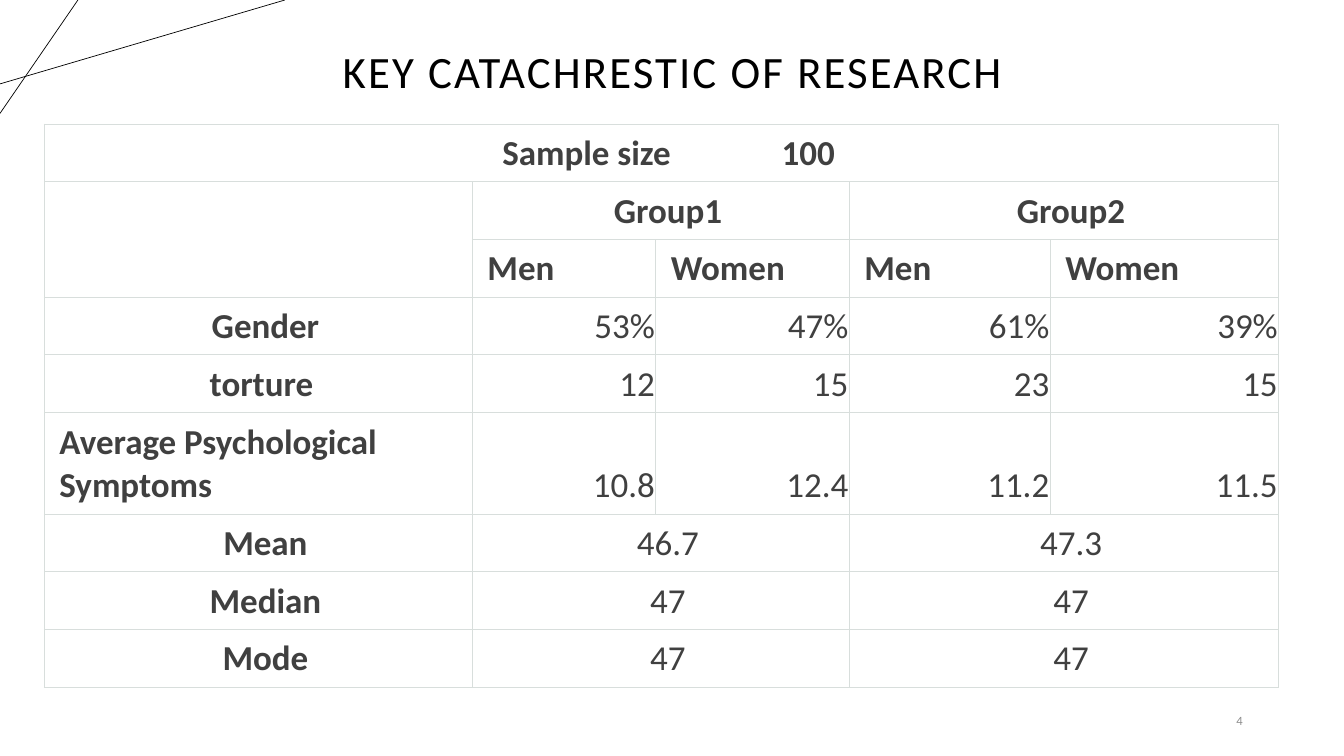
from lxml.etree import SubElement
from pptx import Presentation
from pptx.dml.color import RGBColor
from pptx.enum.shapes import MSO_CONNECTOR
from pptx.enum.text import MSO_ANCHOR, PP_ALIGN
from pptx.oxml.ns import qn
from pptx.util import Inches, Pt

WIDTH, HEIGHT = 13.33, 7.5
LEFT, CENTER, RIGHT = PP_ALIGN.LEFT, PP_ALIGN.CENTER, PP_ALIGN.RIGHT


def color(hex_string):
    return RGBColor.from_string(hex_string)


class SlideBuilder:
    """Holds the style and the slide; lengths are percentages of its size."""

    font = "Calibri"
    ink, body, muted, border = "000000", "404040", "8C8C8C", "D8DEDC"
    table_size = 25

    def __init__(self, slide):
        self.slide = slide

    def x(self, share):
        return Inches(WIDTH * share / 100)

    def y(self, share):
        return Inches(HEIGHT * share / 100)

    def format_paragraph(self, paragraph, size, hex_string, align, bold=False, spacing=0):
        paragraph.alignment = align
        for run in paragraph.runs:
            run.font.name = self.font
            run.font.size = Pt(size)
            run.font.bold = bold
            run.font.color.rgb = color(hex_string)
            if spacing:
                self.space_letters(run, spacing)

    def space_letters(self, run, points):
        run.font._element.set("spc", str(int(points * 100)))

    def line(self, start, end):
        connector = self.slide.shapes.add_connector(
            MSO_CONNECTOR.STRAIGHT, self.x(start[0]), self.y(start[1]), self.x(end[0]), self.y(end[1]))
        connector.line.color.rgb = color(self.ink)
        connector.line.width = Pt(0.5)
        SubElement(connector._element.spPr, qn("a:effectLst"))

    def text(self, content, left, top, width, height, size, hex_string, align, anchor, spacing=0):
        box = self.slide.shapes.add_textbox(self.x(left), self.y(top), self.x(width), self.y(height))
        frame = box.text_frame
        frame.word_wrap = True
        frame.vertical_anchor = anchor
        frame.text = content
        paragraph = frame.paragraphs[0]
        self.format_paragraph(paragraph, size, hex_string, align, spacing=spacing)
        return paragraph

    def outline_cell(self, cell):
        properties = cell._tc.get_or_add_tcPr()
        for side in ("a:lnL", "a:lnR", "a:lnT", "a:lnB"):
            edge = SubElement(properties, qn(side), w=str(Pt(0.75)))
            fill = SubElement(edge, qn("a:solidFill"))
            SubElement(fill, qn("a:srgbClr"), val=self.border)
        cell.fill.background()

    def table(self, left, top, widths, heights, rows, header_rows):
        """None continues the cell on its left."""
        frame = self.slide.shapes.add_table(
            len(heights), len(widths), self.x(left), self.y(top), self.x(sum(widths)), self.y(sum(heights)))
        table = frame.table
        table.first_row = table.horz_banding = False
        for column, width in zip(table.columns, widths):
            column.width = self.x(width)
        for row, height in zip(table.rows, heights):
            row.height = self.y(height)

        for r, values in enumerate(rows):
            for c, value in enumerate(values):
                cell = table.cell(r, c)
                self.outline_cell(cell)
                cell.vertical_anchor = MSO_ANCHOR.BOTTOM
                cell.margin_left, cell.margin_right = Inches(0.15), Inches(0.01)
                cell.margin_top = cell.margin_bottom = Inches(0.07)
                if not value:
                    continue
                end = c
                while end + 1 < len(values) and values[end + 1] is None:
                    end += 1
                if end > c:
                    cell.merge(table.cell(r, end))
                header = r < header_rows
                if end > c or c == 0:
                    align = CENTER
                else:
                    align = LEFT if header else RIGHT
                cell.text_frame.text = value
                self.format_paragraph(cell.text_frame.paragraphs[0], self.table_size, self.body,
                                      align, bold=header or c == 0)
        return table


def main():
    presentation = Presentation()
    presentation.slide_width, presentation.slide_height = Inches(WIDTH), Inches(HEIGHT)
    builder = SlideBuilder(presentation.slides.add_slide(presentation.slide_layouts[6]))

    # Corner lines
    builder.line((0, 11.1), (21.2, 0))
    builder.line((5.8, 0), (0, 15))

    # Title and page number
    title = builder.text("KEY CATACHRESTIC OF RESEARCH", 6.9, 5.2, 86.3, 8.4, 32,
                         builder.ink, CENTER, MSO_ANCHOR.BOTTOM, spacing=1.5)
    title.line_spacing = 0.9
    number = builder.text("4", 85.1, 92.7, 8.1, 5.3, 9, builder.muted, RIGHT, MSO_ANCHOR.MIDDLE)
    number.space_after = Pt(6)

    # Research table
    rows = [
        ["Sample size", None, None, None, None],
        ["", "Group1", None, "Group2", None],
        ["", "Men", "Women", "Men", "Women"],
        ["Gender", "53%", "47%", "61%", "39%"],
        ["torture ", "12", "15", "23", "15"],
        ["Average Psychological Symptoms", "10.8", "12.4", "11.2", "11.5"],
        ["Mean", "46.7", None, "47.3", None],
        ["Median", "47", None, "47", None],
        ["Mode", "47", None, "47", None],
    ]
    heights = [7.64] * len(rows)
    heights[5] = 13.4
    table = builder.table(3.3, 16.4, [31.85, 13.65, 14.4, 14.95, 17], heights, rows, header_rows=3)
    table.cell(1, 0).merge(table.cell(2, 0))
    table.cell(5, 0).text_frame.paragraphs[0].alignment = LEFT

    # Sample size value, set apart by one widened space
    sample = table.cell(0, 0).text_frame.paragraphs[0]
    gap = sample.add_run()
    gap.text = " "
    sample.add_run().text = "100"
    builder.format_paragraph(sample, builder.table_size, builder.body, CENTER, bold=True)
    builder.space_letters(gap, 73.5)

    presentation.save("out.pptx")


if __name__ == "__main__":
    main()
